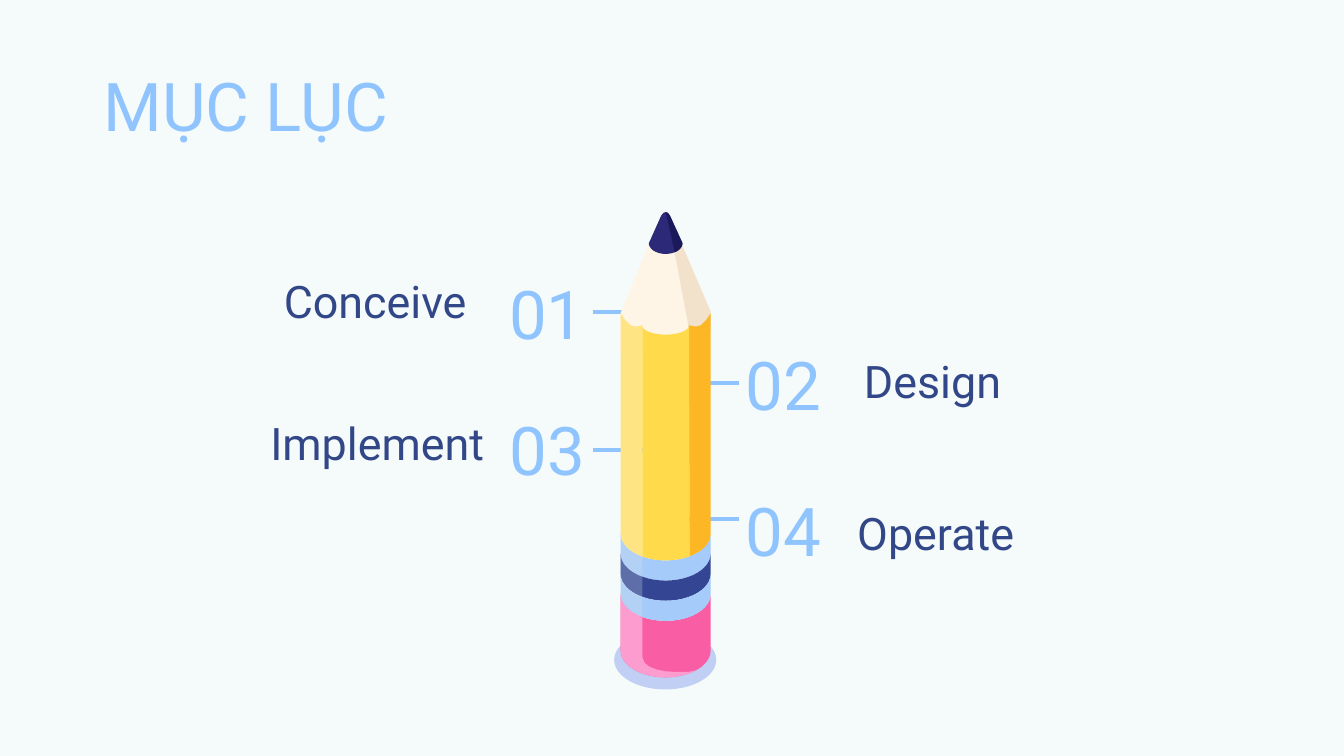
import math
from lxml import etree
from pptx import Presentation, util as u
from pptx.dml.color import RGBColor
from pptx.enum import shapes, text
from pptx.oxml.ns import qn

prs = Presentation()
prs.slide_width = u.Inches(10)
prs.slide_height = prs.slide_width * 9 // 16
cell = prs.slide_width / 100
rgb = RGBColor.from_string
s = prs.slides.add_slide(prs.slide_layouts[5])
s.background.fill.solid()
s.background.fill.fore_color.rgb = rgb("F5FBFB")

SKY, NAVY = "90C4FE", "324788"
LEFT, TOP, MIDDLE = text.PP_ALIGN.LEFT, text.MSO_ANCHOR.TOP, text.MSO_ANCHOR.MIDDLE
RIGHT, CENTER, BOTTOM = text.PP_ALIGN.RIGHT, text.PP_ALIGN.CENTER, text.MSO_ANCHOR.BOTTOM

for x, y in [(44.1, 23.2), (44.1, 33.5), (49, 28.5), (49, 38.6)]:
    line = s.shapes.add_connector(shapes.MSO_CONNECTOR.STRAIGHT,
                                  *[round(v * cell) for v in (x, y, x + 5.95, y)])
    line.line.color.rgb = rgb(SKY)
    line.line.width = u.Pt(2.25)
    etree.SubElement(line._element.spPr, qn("a:effectLst"))

labels = [
    ("MỤC LỤC", 6.7, 3.8, 52.1, 36, SKY, LEFT, TOP),
    ("Conceive", 6.7, 19.1, 29, 24, NAVY, RIGHT, BOTTOM),
    ("01", 36.2, 19.3, 9, 36, SKY, CENTER, TOP),
    ("Design", 63.3, 25, 26.1, 24, NAVY, LEFT, BOTTOM),
    ("02", 53.1, 25.4, 10.4, 36, SKY, CENTER, MIDDLE),
    ("Implement", 10.2, 29.6, 26.8, 24, NAVY, RIGHT, BOTTOM),
    ("03", 35, 29.4, 11.5, 36, SKY, CENTER, TOP),
    ("Operate", 62.8, 36.3, 26.8, 24, NAVY, LEFT, BOTTOM),
    ("04", 53.1, 36.3, 10.4, 36, SKY, CENTER, MIDDLE),
]
for i, (words, x, y, width, size, color, align, anchor) in enumerate(labels):
    sp = s.shapes.title if i == 0 else s.shapes.add_textbox(0, 0, 0, 0)
    sp.left, sp.top, sp.width, sp.height = [round(v * cell) for v in (x, y, width, 6.3)]
    tf = sp.text_frame
    tf.word_wrap, tf.auto_size, tf.vertical_anchor = True, text.MSO_AUTO_SIZE.NONE, anchor
    tf.margin_left = tf.margin_right = tf.margin_top = tf.margin_bottom = round(cell)
    p = tf.paragraphs[0]
    p.alignment = align
    r = p.add_run()
    r.text = words
    r.font.name, r.font.size = "Roboto", u.Pt(size)
    r.font.color.rgb = rgb(color)

pencil = s.shapes.add_group_shape()
MID, EDGE_L, EDGE_R, FACE_L, FACE_R = 49.53, 46.18, 52.88, 47.8, 51.3


def arc(y, x0=EDGE_L, x1=EDGE_R, rx=3.35, ry=2):
    a0, a1 = [math.acos(max(-1, min(1, (x - MID) / rx))) for x in (x0, x1)]
    angles = [a0 + (a1 - a0) * i / 24 for i in range(25)]
    return [(MID + rx * math.cos(a), y + ry * math.sin(a)) for a in angles]


def paint(sp, color):
    sp.shadow.inherit = False
    sp.fill.solid()
    sp.fill.fore_color.rgb = rgb(color)
    sp.line.fill.background()
    return sp


paint(pencil.shapes.add_shape(shapes.MSO_SHAPE.OVAL,
                              *[round(v * cell) for v in (45.7, 46.9, 7.6, 4.4)]), "C1CFF4")

scallop = [(EDGE_L, 23.3), (46.5, 23.8), (46.9, 24.2), (47.3, 24.3), (FACE_L, 24.2)]
mirrored = [(2 * MID - x, y) for x, y in reversed(scallop)]
front = arc(24.2, FACE_L, FACE_R, 1.75, 0.7)
lead_edge = arc(18.1, 48.28, 50.78, 1.25, 0.8)
tip = [(49.85, 16.05), (49.7, 15.85), (MID, 15.78)]
parts = [
    ("FFF5E6", [(48.3, 18.1), (50.7, 18.1), (EDGE_R, 23.2), (EDGE_R, 26.1),
                (EDGE_L, 26.1), (EDGE_L, 23.3)]),
    ("F2E2CC", [(MID, 15.8), (50.2, 18.8), (FACE_R, 24.7), (EDGE_R, 24.7),
                (EDGE_R, 23.2), (50.7, 18.1), (49.8, 16)]),
    ("F95DA4", arc(44.2) + arc(48.4)[::-1]),
]
for row, color in enumerate(["A5CBFA", "344593", "A5CBFA"]):
    y = 39.7 + 1.5 * row
    parts.append((color, arc(y) + arc(y + 1.5)[::-1]))
parts += [
    ("FFE484", scallop + arc(39.7, EDGE_L, FACE_L)[::-1]),
    ("FDB724", mirrored + arc(39.7, FACE_R, EDGE_R)[::-1]),
    ("FFDB4C", front + arc(39.7, FACE_L, FACE_R)[::-1]),
    ("2D2979", lead_edge + tip + [(49.36, 15.85), (49.2, 16.05)]),
    ("1A1A5B", arc(18.1, 50.2, 50.78, 1.25, 0.8) + tip + [(49.8, 16.9)]),
    ("DAE6EA", arc(39.7, EDGE_L, FACE_L) + arc(44.2, EDGE_L, FACE_L)[::-1]),
    ("FD9CCF", arc(48.4, EDGE_L, 51.8) + [(51.2, 50), (50.3, 50), (49.5, 49.95), (48.8, 49.8),
     (48.3, 49.6), (47.95, 49.3), (FACE_L, 48.9)] + arc(44.2, EDGE_L, FACE_L)[::-1]),
]
for color, points in parts:
    outline = [(x * cell, y * cell) for x, y in points]
    builder = pencil.shapes.build_freeform(*outline[0])
    builder.add_line_segments(outline[1:], close=True)
    sp = paint(builder.convert_to_shape(), color)
    if color == "DAE6EA":
        tint = sp._element.spPr.find(qn("a:solidFill"))[0]
        etree.SubElement(tint, qn("a:alpha"), val="26000")

prs.save("out.pptx")
